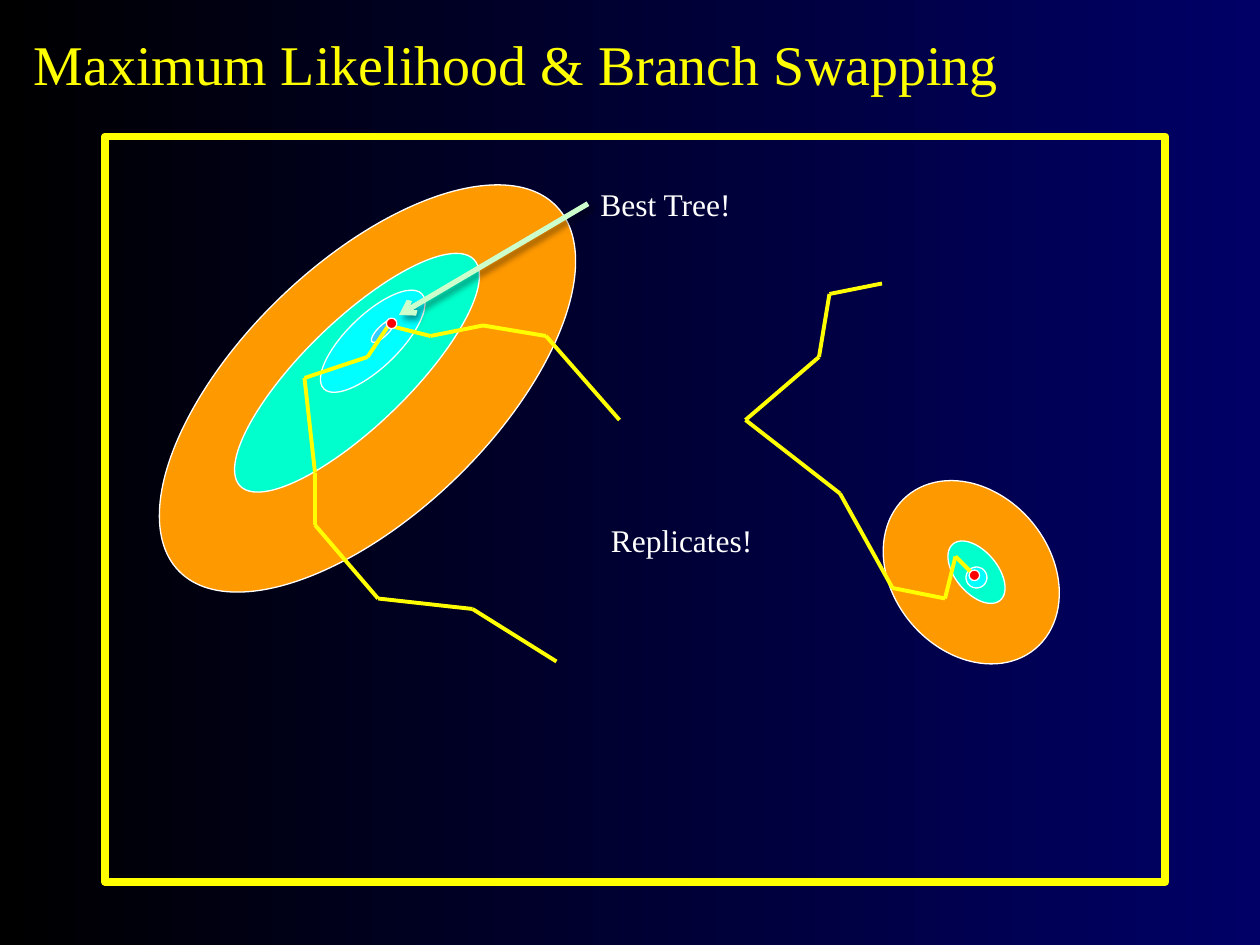
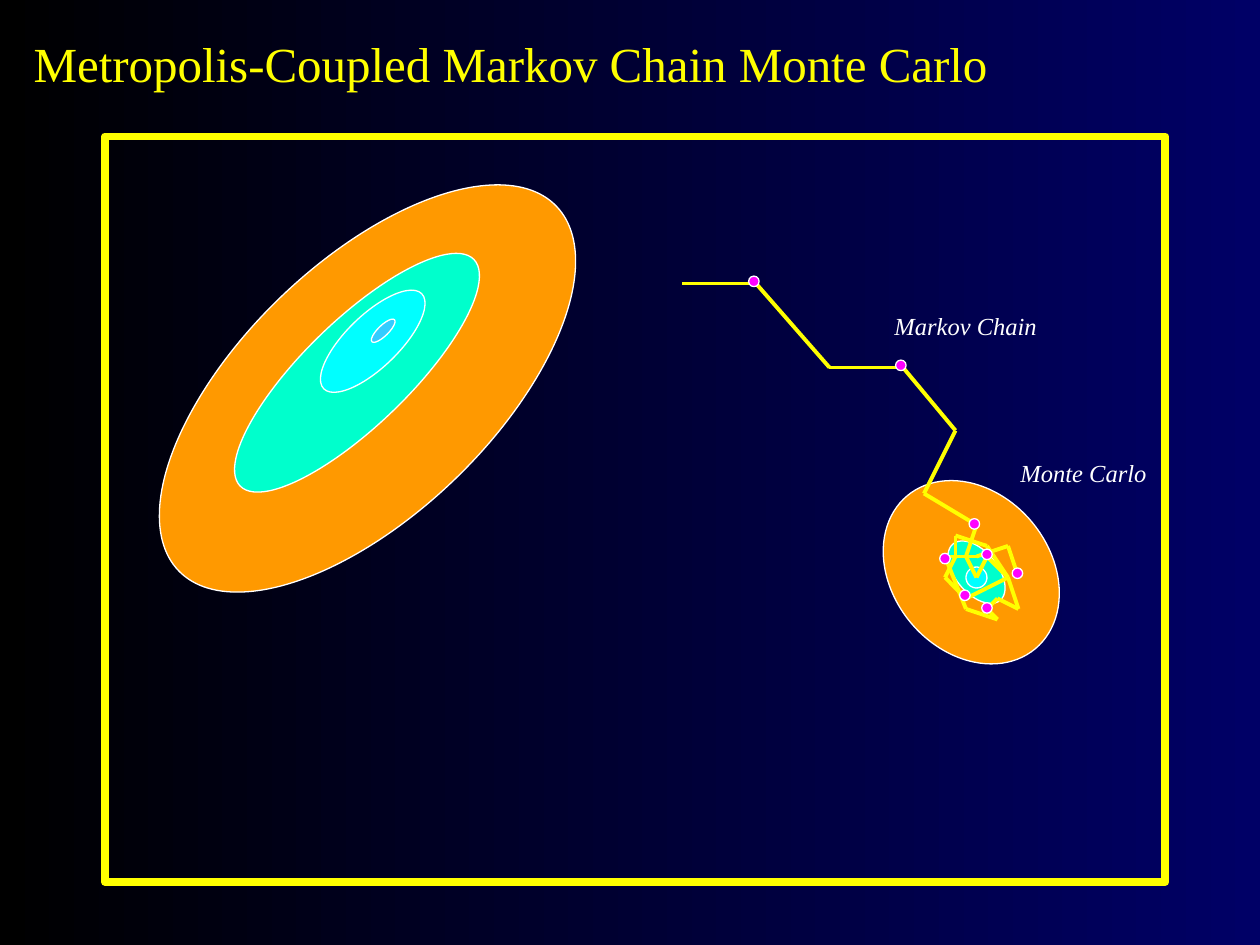
import itertools

import lxml.etree
import pptx
import pptx.dml.color
import pptx.enum.shapes
import pptx.enum.text
import pptx.oxml
import pptx.oxml.ns
import pptx.util

RGB = pptx.dml.color.RGBColor
BLACK = RGB(0x00, 0x00, 0x00)
NAVY = RGB(0x00, 0x00, 0x66)
YELLOW = RGB(0xFF, 0xFF, 0x00)
WHITE = RGB(0xFF, 0xFF, 0xFF)
ORANGE = RGB(0xFF, 0x99, 0x00)
TEAL = RGB(0x00, 0xFF, 0xCC)
CYAN = RGB(0x00, 0xFF, 0xFF)
SKY = RGB(0x33, 0xCC, 0xFF)
RED = RGB(0xFF, 0x00, 0x00)
MAGENTA = RGB(0xFF, 0x00, 0xFF)
PALE_GREEN = RGB(0xCC, 0xFF, 0xCC)

FONT = "Times New Roman"
TITLE_ONLY = 5
LEFT_SIDE = 1

# Contour rings from outside in: left, top, width, height (grid units), angle, fill
TALL_PEAK = [
    (23, 12, 24, 50, 46, ORANGE),
    (29, 20, 10, 31, 45.9, TEAL),
    (33, 26, 5, 13, 45.9, CYAN),
    (36, 30, 1, 3, 45.7, SKY),
]
SMALL_PEAK = [
    (85, 45, 15, 19, 320, ORANGE),
    (91, 51, 4, 7, 320, TEAL),
    (92, 54, 2, 2, 320, CYAN),
]

SEARCHES = [
    [(59, 40), (52, 32), (46, 31), (41, 32), (37, 31)],
    [(93, 55), (91, 53), (90, 57), (85, 56), (80, 47), (71, 40),
     (78, 34), (79, 28), (84, 27)],
    [(53, 63), (45, 58), (36, 57), (30, 50), (30, 45), (29, 36),
     (35, 34), (37, 31)],
]
OPTIMA = [(92.8, 54.8), (37.3, 30.8)]

MARKOV_CHAIN = [
    (65, 27), (72, 27), (79, 35), (86, 35), (91, 41), (88, 47), (93, 50),
    (92, 53), (93, 55), (94, 53), (96, 55), (94, 56), (92, 57), (90, 55),
    (91, 53), (91, 51), (94, 52), (96, 55), (97, 58), (95, 57), (94, 58),
    (95, 59), (92, 58), (90, 53), (93, 53), (96, 52), (97, 55),
]
SAMPLES = [
    (85.8, 34.8), (92.8, 49.9), (94, 52.8), (90, 53.2),
    (96.9, 54.6), (94, 57.9), (71.8, 26.8), (91.9, 56.7),
]


def grid(units):
    """Length of a number of grid units, twelve to the inch."""
    return pptx.util.Cm(2.54 * units / 12)


class Deck:
    def __init__(self):
        self.presentation = pptx.Presentation()
        self.presentation.slide_width = pptx.util.Cm(25.4)
        self.presentation.slide_height = pptx.util.Cm(19.05)
        backdrop = self.presentation.slide_master.background.fill
        backdrop.gradient()
        backdrop.gradient_angle = 0
        for stop, color in zip(backdrop.gradient_stops, (BLACK, NAVY)):
            stop.color.rgb = color
        self.slide = None

    def new_landscape(self, heading, size):
        """Start a slide with its title, frame and both peaks."""
        layout = self.presentation.slide_layouts[TITLE_ONLY]
        self.slide = self.presentation.slides.add_slide(layout)
        self.title(heading, size)
        self.frame()
        for ring in TALL_PEAK + SMALL_PEAK:
            self.ellipse(*ring)

    def add_text(self, frame, text, size, color, italic=None):
        paragraph = frame.paragraphs[0]
        paragraph.alignment = pptx.enum.text.PP_ALIGN.LEFT
        run = paragraph.add_run()
        run.text = text
        run.font.name = FONT
        run.font.size = pptx.util.Pt(size)
        run.font.color.rgb = color
        run.font.italic = italic

    def title(self, text, size):
        title = self.slide.shapes.title
        title.left, title.top = grid(2), grid(1)
        title.width, title.height = grid(102), grid(10)
        title.text_frame.auto_size = pptx.enum.text.MSO_AUTO_SIZE.NONE
        title.text_frame.vertical_anchor = pptx.enum.text.MSO_ANCHOR.MIDDLE
        self.add_text(title.text_frame, text, size, YELLOW)

    def outlined(self, kind, box, color, weight):
        shape = self.slide.shapes.add_shape(kind, *map(grid, box))
        shape.shadow.inherit = False
        shape.line.color.rgb = color
        shape.line.width = pptx.util.Pt(weight)
        return shape

    def frame(self):
        kind = pptx.enum.shapes.MSO_SHAPE.RECTANGLE
        self.outlined(kind, (10, 13, 101, 71), YELLOW, 4.5).fill.background()

    def ellipse(self, left, top, width, height, angle, color):
        kind = pptx.enum.shapes.MSO_SHAPE.OVAL
        oval = self.outlined(kind, (left, top, width, height), WHITE, 0.75)
        oval.rotation = angle
        oval.fill.solid()
        oval.fill.fore_color.rgb = color

    def dots(self, centres, color):
        for x, y in centres:
            self.ellipse(x - 0.5, y - 0.5, 1, 1, 0, color)

    def line(self, start, end, color=YELLOW, weight=2.25):
        """Add a straight line; return it with its empty effect list."""
        connector = self.slide.shapes.add_connector(
            pptx.enum.shapes.MSO_CONNECTOR.STRAIGHT, *map(grid, start + end))
        connector.line.color.rgb = color
        connector.line.width = pptx.util.Pt(weight)
        effects = lxml.etree.SubElement(
            connector._element.spPr, pptx.oxml.ns.qn("a:effectLst"))
        return connector, effects

    def route(self, points):
        for start, end in itertools.pairwise(points):
            self.line(start, end)

    def label(self, text, left, top, width, height, size, italic=None):
        box = self.slide.shapes.add_textbox(*map(grid, (left, top, width, height)))
        box.text_frame.word_wrap = True
        box.text_frame.auto_size = pptx.enum.text.MSO_AUTO_SIZE.SHAPE_TO_FIT_TEXT
        self.add_text(box.text_frame, text, size, WHITE, italic)
        return box

    def pointer(self, caption, target):
        """Draw a shadowed arrow from the left side of a caption."""
        arrow, effects = self.line((56, 19.4), target, PALE_GREEN, 3)
        arrow.begin_connect(caption, LEFT_SIDE)
        outline = arrow._element.spPr.find(pptx.oxml.ns.qn("a:ln"))
        lxml.etree.SubElement(outline, pptx.oxml.ns.qn("a:tailEnd"), type="arrow")
        effects.append(pptx.oxml.parse_xml(
            f'<a:outerShdw {pptx.oxml.ns.nsdecls("a")} blurRad="50800" '
            'dist="38100" dir="2700000" algn="tl" rotWithShape="0">'
            f'<a:srgbClr val="{BLACK}"><a:alpha val="43000"/></a:srgbClr>'
            '</a:outerShdw>'))


def main():
    deck = Deck()

    deck.new_landscape("Maximum Likelihood & Branch Swapping", 32)
    for search in SEARCHES:
        deck.route(search)
    deck.dots(OPTIMA, RED)
    deck.label("Replicates!", 57, 49, 21, 4.8, 18)
    best_tree = deck.label("Best Tree!", 56, 17, 21, 4.8, 18)
    deck.pointer(best_tree, (38, 30))

    deck.new_landscape("Metropolis-Coupled Markov Chain Monte Carlo", 28)
    deck.route(MARKOV_CHAIN)
    deck.dots(SAMPLES, MAGENTA)
    deck.label("Monte Carlo", 96, 43, 16, 4.1, 14, italic=True)
    deck.label("Markov Chain", 84, 29, 16, 4.1, 14, italic=True)

    deck.presentation.save("out.pptx")


if __name__ == "__main__":
    main()
